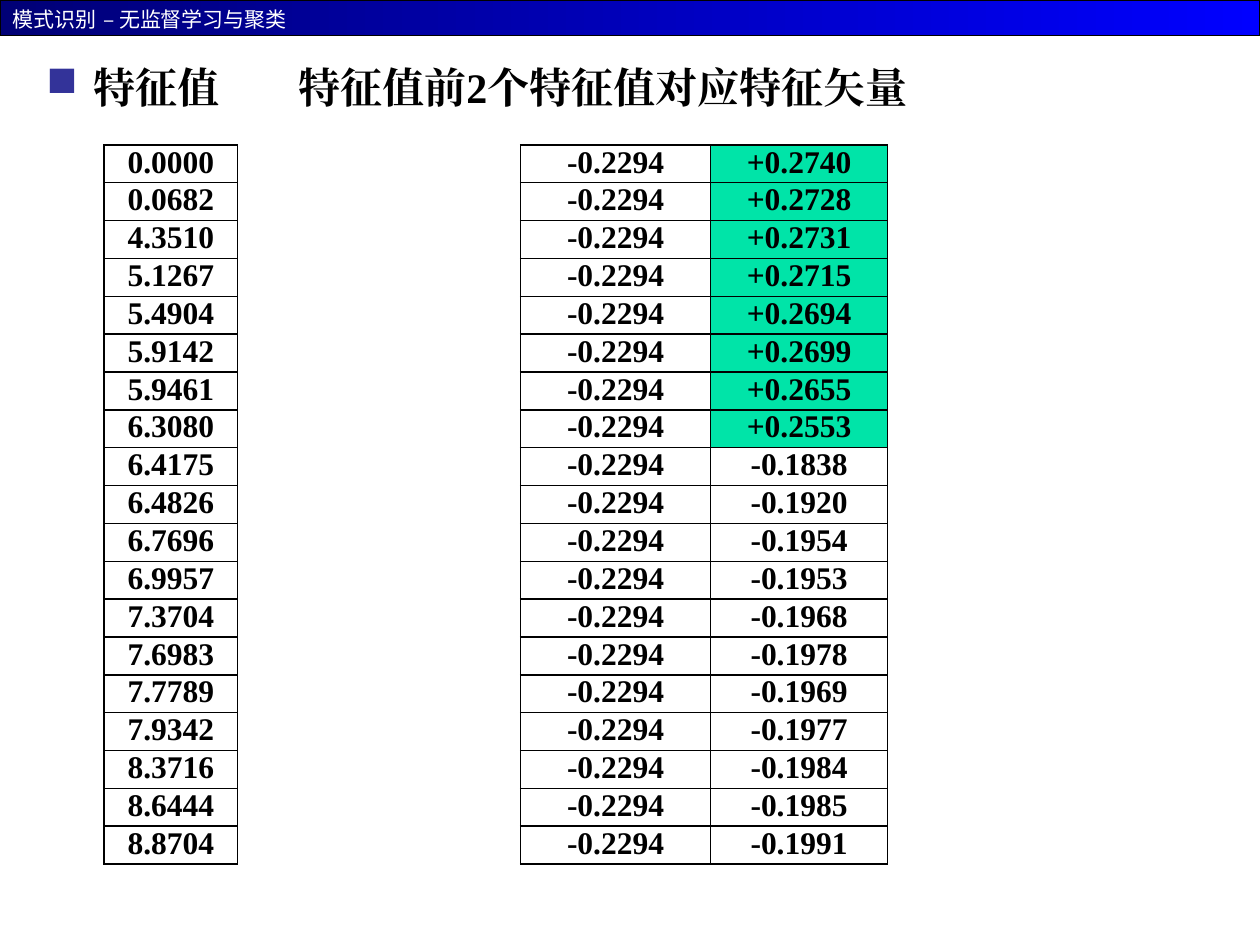
from dataclasses import dataclass

import pptx
import pptx.dml.color
import pptx.enum.dml
import pptx.enum.shapes
import pptx.enum.text
import pptx.oxml
import pptx.oxml.ns
import pptx.slide
import pptx.text.text
import pptx.util

Pt = pptx.util.Pt


@dataclass(frozen=True)
class Theme:
    black: str = "000000"
    white: str = "FFFFFF"
    banner_start: str = "000076"
    banner_end: str = "0000FF"
    bullet: str = "333399"
    highlight: str = "00E4A8"
    serif: str = "Times New Roman"
    sans: str = "DejaVu Sans"
    dash_font: str = "Noto Sans CJK SC"
    banner_size: float = 12
    heading_size: float = 24
    cell_size: float = 18


@dataclass(frozen=True)
class TextRun:
    text: str
    font: str
    size: float
    color: str
    bold: bool = False


@dataclass(frozen=True)
class TextBox:
    left: float
    top: float
    width: float
    height: float
    runs: tuple[TextRun, ...]


@dataclass(frozen=True)
class ValueTable:
    left: float
    column_widths: tuple[float, ...]
    rows: list[tuple[str, ...]]


THEME = Theme()
TABLE_TOP = 82.8
ROW_HEIGHT = 21.6
CELL_MARGIN = 5.04
BORDER_WIDTH = 1

EIGENVALUES = (
    "0.0000 0.0682 4.3510 5.1267 5.4904 5.9142 5.9461 6.3080 6.4175 6.4826 "
    "6.7696 6.9957 7.3704 7.6983 7.7789 7.9342 8.3716 8.6444 8.8704"
).split()
SECOND_VECTOR = (
    "+0.2740 +0.2728 +0.2731 +0.2715 +0.2694 +0.2699 +0.2655 +0.2553 -0.1838 -0.1920 "
    "-0.1954 -0.1953 -0.1968 -0.1978 -0.1969 -0.1977 -0.1984 -0.1985 -0.1991"
).split()

BANNER_TEXT = TextBox(0, 0, 257.76, 21.6, (
    TextRun("模式识别 ", THEME.sans, THEME.banner_size, THEME.white),
    TextRun("– ", THEME.dash_font, THEME.banner_size, THEME.white),
    TextRun("无监督学习与聚类", THEME.sans, THEME.banner_size, THEME.white),
))
HEADING = TextBox(19.44, 31.68, 663.12, 45.36, (
    TextRun("特征值\t\t", THEME.serif, THEME.heading_size, THEME.black, True),
    TextRun("特征值前2个特征值对应特征矢量", THEME.serif, THEME.heading_size, THEME.black, True),
))
TABLES = (
    ValueTable(59.5, (76.32,), [(value,) for value in EIGENVALUES]),
    ValueTable(297.5, (108.5, 101.3), [("-0.2294", value) for value in SECOND_VECTOR]),
)


def rgb(color: str) -> pptx.dml.color.RGBColor:
    return pptx.dml.color.RGBColor.from_string(color)


def xml(markup: str):
    return pptx.oxml.parse_xml(markup.replace(" ", f" {pptx.oxml.ns.nsdecls('a')} ", 1))


def add_run(paragraph: pptx.text.text._Paragraph, item: TextRun) -> None:
    run = paragraph.add_run()
    run.text = item.text
    run.font.name = item.font
    run.font.size = Pt(item.size)
    run.font.bold = item.bold
    run.font.color.rgb = rgb(item.color)
    run.font._element.append(xml(f'<a:ea typeface="{item.font}"/>'))


def add_text(slide: pptx.slide.Slide, box: TextBox) -> pptx.text.text._Paragraph:
    shape = slide.shapes.add_textbox(Pt(box.left), Pt(box.top), Pt(box.width), Pt(box.height))
    shape.text_frame.word_wrap = True
    paragraph = shape.text_frame.paragraphs[0]
    for item in box.runs:
        add_run(paragraph, item)
    return paragraph


def add_bullet(paragraph: pptx.text.text._Paragraph) -> None:
    properties = paragraph._p.get_or_add_pPr()
    properties.set("marL", str(Pt(27)))
    properties.set("indent", str(-Pt(27)))
    paragraph.space_before = Pt(4)
    properties.append(xml(f'<a:buClr ><a:srgbClr val="{THEME.bullet}"/></a:buClr>'))
    properties.append(xml('<a:buChar char="■"/>'))


def add_banner(slide: pptx.slide.Slide) -> None:
    shape = slide.shapes.add_shape(
        pptx.enum.shapes.MSO_SHAPE.RECTANGLE, Pt(0), Pt(0), Pt(720), Pt(20.4))
    shape.shadow.inherit = False
    shape.fill.gradient()
    shape.fill.gradient_angle = 0
    for stop, color in zip(shape.fill.gradient_stops, (THEME.banner_start, THEME.banner_end)):
        stop.color.rgb = rgb(color)
    shape.line.color.rgb = rgb(THEME.black)
    shape.line.width = Pt(0.75)


def style_cell(cell, value: str) -> None:
    cell.margin_left = cell.margin_right = Pt(CELL_MARGIN)
    cell.margin_top = cell.margin_bottom = Pt(0)
    paragraph = cell.text_frame.paragraphs[0]
    paragraph.alignment = pptx.enum.text.PP_ALIGN.CENTER
    add_run(paragraph, TextRun(value, THEME.serif, THEME.cell_size, THEME.black, True))
    properties = cell._tc.get_or_add_tcPr()
    for side in ("lnL", "lnR", "lnT", "lnB"):
        properties.append(xml(
            f'<a:{side} w="{Pt(BORDER_WIDTH)}"><a:solidFill>'
            f'<a:srgbClr val="{THEME.black}"/></a:solidFill></a:{side}>'))
    if value.startswith("+"):
        cell.fill.solid()
        cell.fill.fore_color.rgb = rgb(THEME.highlight)
    else:
        cell.fill.background()


def add_value_table(slide: pptx.slide.Slide, spec_table: ValueTable) -> None:
    rows, widths = spec_table.rows, spec_table.column_widths
    table = slide.shapes.add_table(
        len(rows), len(widths), Pt(spec_table.left), Pt(TABLE_TOP),
        Pt(sum(widths)), Pt(ROW_HEIGHT * len(rows))).table
    table.first_row = table.horz_banding = False
    for column, width in zip(table.columns, widths):
        column.width = Pt(width)
    for row, values in zip(table.rows, rows):
        row.height = Pt(ROW_HEIGHT)
        for cell, value in zip(row.cells, values):
            style_cell(cell, value)


def main() -> None:
    presentation = pptx.Presentation()
    presentation.slide_width, presentation.slide_height = Pt(720), Pt(540)
    slide = presentation.slides.add_slide(presentation.slide_layouts[6])
    add_banner(slide)
    add_text(slide, BANNER_TEXT)
    add_bullet(add_text(slide, HEADING))
    for value_table in TABLES:
        add_value_table(slide, value_table)
    presentation.save("out.pptx")


main()
